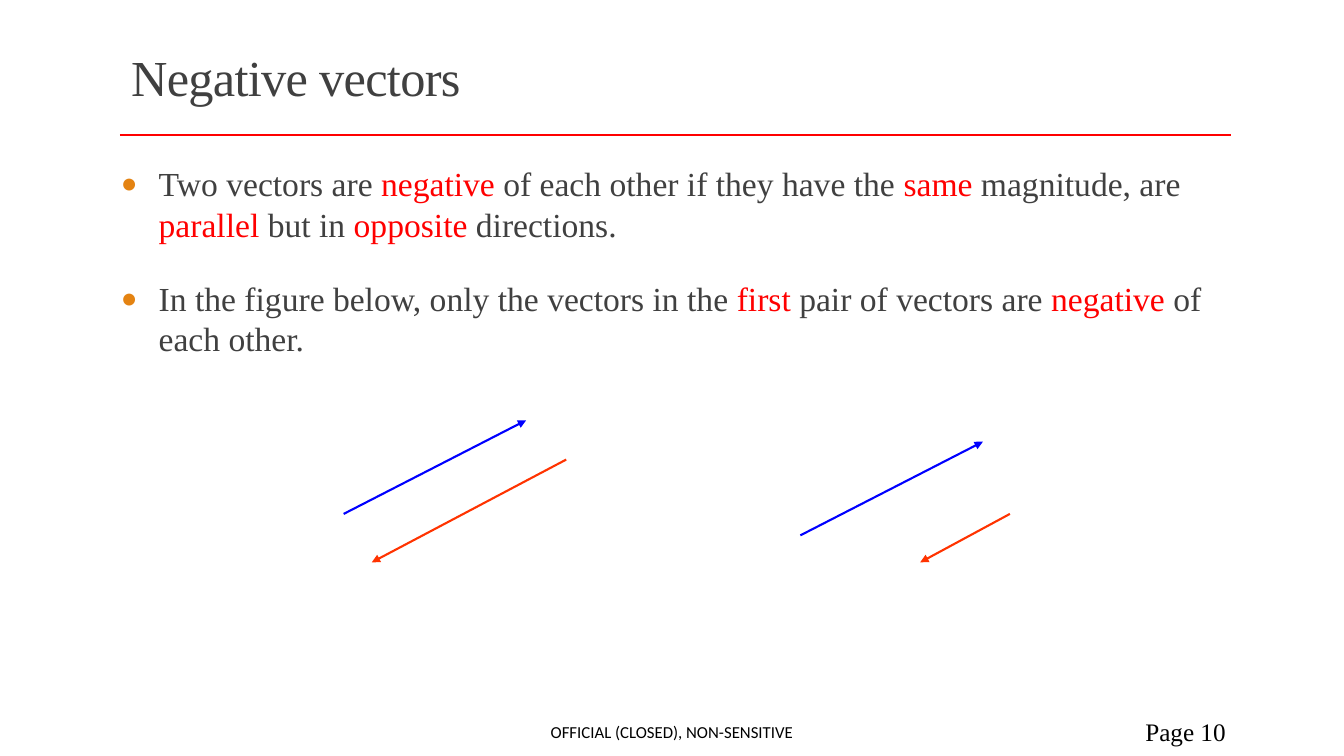
from typing import NamedTuple

from pptx import Presentation
from pptx import util as u
from pptx.dml import color
from pptx.enum import shapes, text
from pptx.oxml import ns
from lxml import etree

SERIF = "Times New Roman"
GREY, RED, BLUE, ORANGE, BLACK = "404040", "FF0000", "0000FF", "FF3300", "000000"
BULLET_COLOUR = "E48312"
HANGING = u.Cm(0.95)


class Line(NamedTuple):
    start: tuple[float, float]
    end: tuple[float, float]
    colour: str
    width: float = 1.5
    arrow: bool = True


class Label(NamedTuple):
    words: str
    place: tuple[float, float, float, float]
    align: text.PP_ALIGN
    size: float
    face: str


TITLE_RULE = Line((3.02, 3.4), (31.01, 3.4), RED, 2, False)
VECTOR_PAIRS = [
    [Line((8.66, 12.95), (13.26, 10.59), BLUE), Line((14.27, 11.58), (9.37, 14.17), ORANGE)],
    [Line((20.17, 13.49), (24.77, 11.13), BLUE), Line((25.45, 12.95), (23.19, 14.17), ORANGE)],
]
LABELS = [
    Label("Page 10", (27.51, 17.93, 3.63, 1.02), text.PP_ALIGN.RIGHT, 18, SERIF),
    Label("OFFICIAL (CLOSED), NON-SENSITIVE", (10.24, 17.93, 13.39, 1.02),
          text.PP_ALIGN.CENTER, 12, "Calibri"),
]
POINTS = [
    [("Two vectors are ", GREY), ("negative ", RED),
     ("of each other if they have the ", GREY), ("same", RED),
     (" magnitude, are ", GREY), ("parallel ", RED), ("but in ", GREY),
     ("opposite", RED), (" directions.", GREY)],
    [("In the figure below, only the vectors in the ", GREY), ("first", RED),
     (" pair of vectors are ", GREY), ("negative", RED), (" of each other.", GREY)],
]


def rgb(value: str) -> color.RGBColor:
    return color.RGBColor.from_string(value)


def style(span, size: float, colour: str, face: str = SERIF) -> None:
    span.font.size = u.Pt(size)
    span.font.name = face
    span.font.color.rgb = rgb(colour)


def add_line(parent, line: Line) -> None:
    connector = parent.add_connector(
        shapes.MSO_CONNECTOR.STRAIGHT, *map(u.Cm, line.start + line.end))
    connector.line.color.rgb = rgb(line.colour)
    connector.line.width = u.Pt(line.width)
    if line.arrow:
        outline = connector.line._get_or_add_ln()
        etree.SubElement(outline, ns.qn("a:tailEnd"), type="triangle")
    etree.SubElement(connector._element.spPr, ns.qn("a:effectLst"))


def add_box(page, place: tuple[float, float, float, float]):
    box = page.shapes.add_textbox(*map(u.Cm, place))
    box.text_frame.word_wrap = True
    return box


def add_label(page, label: Label) -> None:
    frame = add_box(page, label.place).text_frame
    frame.vertical_anchor = text.MSO_ANCHOR.MIDDLE
    frame.text = label.words
    para = frame.paragraphs[0]
    para.alignment = label.align
    style(para.runs[0], label.size, BLACK, label.face)


def add_bullet(para) -> None:
    properties = para._p.get_or_add_pPr()
    properties.set("marL", str(HANGING))
    properties.set("indent", str(-HANGING))
    tint = etree.SubElement(properties, ns.qn("a:buClr"))
    etree.SubElement(tint, ns.qn("a:srgbClr"), val=BULLET_COLOUR)
    etree.SubElement(properties, ns.qn("a:buFont"), typeface="Calibri")
    etree.SubElement(properties, ns.qn("a:buChar"), char="•")


def set_title(page) -> None:
    title = page.shapes.title
    title.left, title.top, title.width, title.height = map(u.Cm, (3.05, 0.79, 27.94, 2.49))
    frame = title.text_frame
    frame.text = "Negative vectors"
    frame.auto_size = text.MSO_AUTO_SIZE.NONE
    frame.vertical_anchor = text.MSO_ANCHOR.MIDDLE
    para = frame.paragraphs[0]
    para.alignment = text.PP_ALIGN.LEFT
    para.line_spacing = 0.85
    span = para.runs[0]
    style(span, 36, GREY)
    span.font._element.set("spc", "-50")


def add_points(page) -> None:
    frame = add_box(page, (3.05, 3.99, 27.99, 5.72)).text_frame
    frame.margin_left = frame.margin_right = 0
    for index, point in enumerate(POINTS):
        para = frame.add_paragraph() if index else frame.paragraphs[0]
        add_bullet(para)
        para.space_before = u.Pt(18 if index else 0)
        para.space_after = u.Pt(6)
        for words, colour in point:
            span = para.add_run()
            span.text = words
            style(span, 24, colour)


def main() -> None:
    deck = Presentation()
    deck.slide_width, deck.slide_height = u.Cm(33.87), u.Cm(19.05)
    page = deck.slides.add_slide(deck.slide_layouts.get_by_name("Title Only"))
    add_line(page.shapes, TITLE_RULE)
    set_title(page)
    add_points(page)
    for label in LABELS:
        add_label(page, label)
    for pair in VECTOR_PAIRS:
        group = page.shapes.add_group_shape()
        for vector in pair:
            add_line(group.shapes, vector)
    deck.save("out.pptx")


if __name__ == "__main__":
    main()
